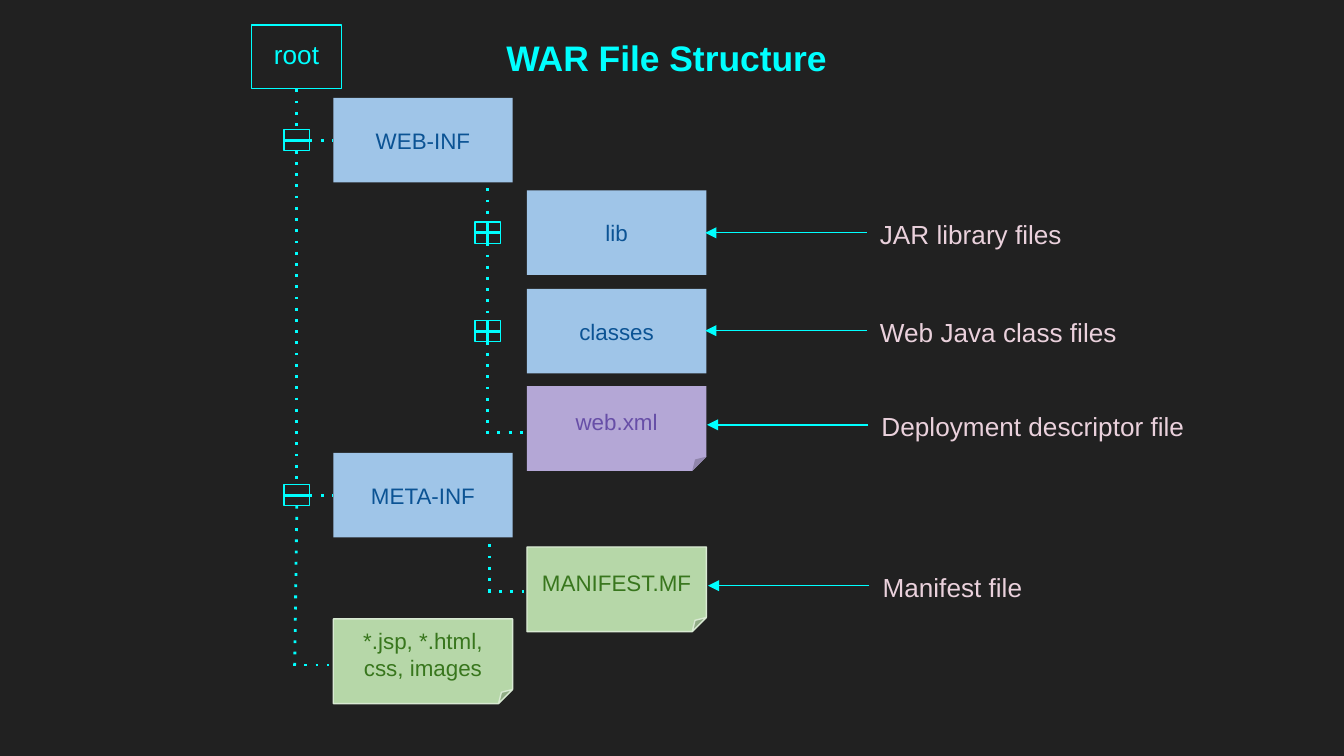
from typing import NamedTuple, Optional

import pptx
import pptx.dml.color
import pptx.enum.shapes
import pptx.enum.text
import pptx.oxml
import pptx.oxml.ns
import pptx.util

Cm = pptx.util.Cm
Pt = pptx.util.Pt
SHAPE = pptx.enum.shapes.MSO_SHAPE
ALIGN = pptx.enum.text.PP_ALIGN
ANCHOR = pptx.enum.text.MSO_ANCHOR

COLORS = {
    "background": "212121",
    "accent": "00FFFF",
    "label": "EAD1DC",
    "folder": "9FC5E8",
    "folder text": "0B5394",
    "config": "B4A7D6",
    "config text": "674EA7",
    "file": "B6D7A8",
    "file text": "38761D",
    "file line": "D9EAD3",
}

# All lengths are in centimetres.
NODE_WIDTH, NODE_HEIGHT = 3.39, 1.6
TOGGLE_WIDTH, TOGGLE_HEIGHT = 0.48, 0.4
OUTER_LEFT, INNER_LEFT = 6.3, 9.96
OUTER_TRUNK, INNER_TRUNK = 5.61, 9.22
ARROW_LENGTH = 3.05
LABEL_WIDTH, LABEL_HEIGHT = 6.38, 1.04


class Node(NamedTuple):
    text: str
    left: float
    top: float
    kind: str


class Toggle(NamedTuple):
    center_x: float
    center_y: float
    collapsed: bool


class Line(NamedTuple):
    x1: float
    y1: float
    x2: float
    y2: float


class Label(NamedTuple):
    text: str
    left: float
    arrow_y: float


NODES = [
    Node("web.xml", INNER_LEFT, 7.3, "config"),
    Node("MANIFEST.MF", INNER_LEFT, 10.34, "file"),
    Node("WEB-INF", OUTER_LEFT, 1.85, "folder"),
    Node("META-INF", OUTER_LEFT, 8.56, "folder"),
    Node("lib", INNER_LEFT, 3.6, "folder"),
    Node("classes", INNER_LEFT, 5.46, "folder"),
    Node("*.jsp, *.html, css, images", OUTER_LEFT, 11.7, "file"),
]

TOGGLES = [
    Toggle(OUTER_TRUNK, 2.65, False),
    Toggle(OUTER_TRUNK, 9.36, False),
    Toggle(INNER_TRUNK, 4.4, True),
    Toggle(INNER_TRUNK, 6.26, True),
]

BRANCHES = [
    Line(OUTER_TRUNK, 1.69, OUTER_TRUNK, 2.45),
    Line(OUTER_TRUNK, 2.85, OUTER_TRUNK, 9.16),
    Line(OUTER_TRUNK, 9.56, 5.57, 12.57),
    Line(5.54, 12.57, 6.22, 12.57),
    Line(5.85, 2.65, OUTER_LEFT, 2.65),
    Line(5.85, 9.36, OUTER_LEFT, 9.36),
    Line(INNER_TRUNK, 3.56, INNER_TRUNK, 4.2),
    Line(INNER_TRUNK, 4.6, INNER_TRUNK, 6.06),
    Line(INNER_TRUNK, 6.46, INNER_TRUNK, 8.1),
    Line(9.19, 8.18, 9.88, 8.18),
    Line(9.25, 10.29, 9.25, 11.3),
    Line(9.22, 11.18, 9.91, 11.18),
]

LABELS = [
    Label("JAR library files", 16.38, 4.4),
    Label("Web Java class files", 16.38, 6.25),
    Label("Deployment descriptor file", 16.41, 8.03),
    Label("Manifest file", 16.43, 11.07),
]


def rgb(name: str) -> pptx.dml.color.RGBColor:
    return pptx.dml.color.RGBColor.from_string(COLORS[name])


def write_text(shape, text: str, size: float, color: str, align=ALIGN.LEFT,
               anchor=ANCHOR.TOP, bold: bool = False) -> None:
    frame = shape.text_frame
    frame.word_wrap = True
    frame.vertical_anchor = anchor
    frame.margin_left = frame.margin_right = Cm(0.25)
    frame.margin_top = frame.margin_bottom = Cm(0.25)
    para = frame.paragraphs[0]
    para.text = text
    para.alignment = align
    para.font.name = "Arial"
    para.font.size = Pt(size)
    para.font.bold = bold
    para.font.color.rgb = rgb(color)


def add_text(slide, text: str, left: float, top: float, width: float,
             size: float, color: str, bold: bool = False) -> None:
    box = slide.shapes.add_textbox(Cm(left), Cm(top), Cm(width), Cm(LABEL_HEIGHT))
    write_text(box, text, size, color, bold=bold)


def add_box(slide, preset, left: float, top: float, width: float, height: float,
            fill: Optional[str], outline: Optional[str]):
    shape = slide.shapes.add_shape(preset, Cm(left), Cm(top), Cm(width), Cm(height))
    shape.shadow.inherit = False
    if fill:
        shape.fill.solid()
        shape.fill.fore_color.rgb = rgb(fill)
    else:
        shape.fill.background()
    if outline:
        shape.line.color.rgb = rgb(outline)
        shape.line.width = Pt(0.75)
    else:
        shape.line.fill.background()
    return shape


def add_line(slide, line: Line, width: float, dotted: bool = False,
             arrow: bool = False) -> None:
    connector = slide.shapes.add_connector(
        pptx.enum.shapes.MSO_CONNECTOR.STRAIGHT,
        Cm(line.x1), Cm(line.y1), Cm(line.x2), Cm(line.y2))
    connector.line.color.rgb = rgb("accent")
    connector.line.width = Pt(width)
    properties = connector.element.spPr
    outline = properties.find(pptx.oxml.ns.qn("a:ln"))
    namespace = pptx.oxml.ns.nsdecls("a")
    if dotted:
        outline.append(pptx.oxml.parse_xml(f'<a:prstDash {namespace} val="dot"/>'))
    if arrow:
        outline.append(pptx.oxml.parse_xml(f'<a:tailEnd {namespace} type="triangle"/>'))
    properties.append(pptx.oxml.parse_xml(f"<a:effectLst {namespace}/>"))


def add_node(slide, node: Node) -> None:
    preset = SHAPE.RECTANGLE if node.kind == "folder" else SHAPE.FOLDED_CORNER
    outline = "file line" if node.kind == "file" else None
    shape = add_box(slide, preset, node.left, node.top, NODE_WIDTH, NODE_HEIGHT,
                    node.kind, outline)
    write_text(shape, node.text, 12, f"{node.kind} text", ALIGN.CENTER, ANCHOR.MIDDLE)


def add_toggle(slide, toggle: Toggle) -> None:
    """Draw a minus box, or a plus box for a collapsed folder."""
    x, y = toggle.center_x, toggle.center_y
    left, top = x - TOGGLE_WIDTH / 2, y - TOGGLE_HEIGHT / 2
    add_box(slide, SHAPE.RECTANGLE, left, top, TOGGLE_WIDTH, TOGGLE_HEIGHT, None, "accent")
    add_line(slide, Line(left, y, left + TOGGLE_WIDTH, y), 1.5)
    if toggle.collapsed:
        add_line(slide, Line(x, top, x, top + TOGGLE_HEIGHT), 1.5)


def add_label(slide, label: Label) -> None:
    add_text(slide, label.text, label.left, label.arrow_y - LABEL_HEIGHT / 2,
             LABEL_WIDTH, 14, "label")
    end = label.left - ARROW_LENGTH
    add_line(slide, Line(label.left, label.arrow_y, end, label.arrow_y), 0.75, arrow=True)


def main() -> None:
    deck = pptx.Presentation()
    deck.slide_width, deck.slide_height = Cm(25.4), Cm(14.29)
    slide = deck.slides.add_slide(deck.slide_layouts[6])
    slide.background.fill.solid()
    slide.background.fill.fore_color.rgb = rgb("background")

    add_text(slide, "WAR File Structure", 9.32, 0.43, 11.15, 19, "accent", bold=True)
    for node in NODES:
        add_node(slide, node)
    for toggle in TOGGLES:
        add_toggle(slide, toggle)
    for branch in BRANCHES:
        add_line(slide, branch, 1.5, dotted=True)
    for label in LABELS:
        add_label(slide, label)
    root = add_box(slide, SHAPE.RECTANGLE, 4.75, 0.47, 1.71, 1.21, None, "accent")
    write_text(root, "root", 14, "accent", ALIGN.CENTER)

    deck.save("out.pptx")


if __name__ == "__main__":
    main()
